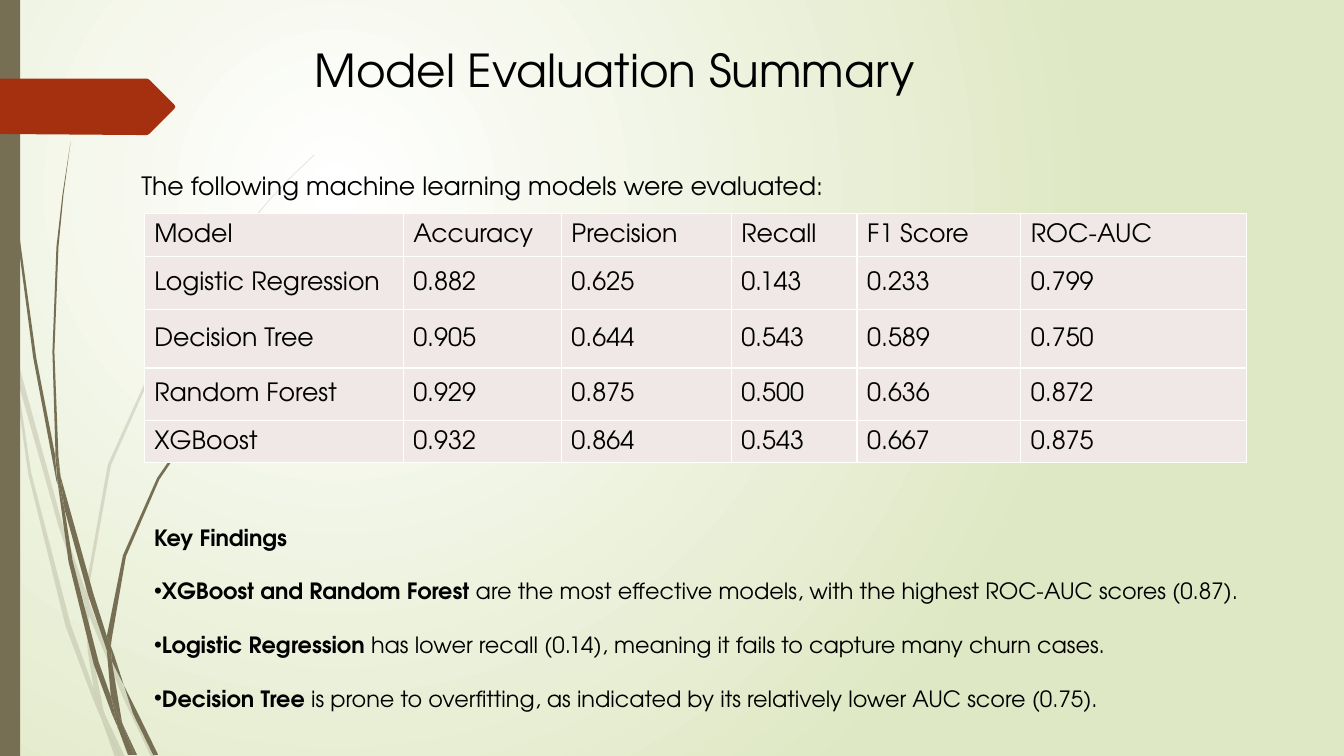
from lxml.etree import SubElement
from pptx import Presentation
from pptx.dml.color import RGBColor
from pptx.enum.shapes import MSO_SHAPE
from pptx.enum.text import MSO_ANCHOR
from pptx.oxml.ns import qn
from pptx.util import Pt

WHITE = RGBColor(0xFF, 0xFF, 0xFF)
BLACK = RGBColor(0, 0, 0)
GREEN = RGBColor(0xDF, 0xE8, 0xC4)
OLIVE = RGBColor(0x76, 0x6F, 0x54)
RUST = RGBColor(0xA5, 0x30, 0x10)
BLUSH = RGBColor(0xF0, 0xE8, 0xE7)
FACE = "TeX Gyre Adventor"
UNIT = 0.72

PALE = [
    "11,350 9,322 0,282 0,299 10,344",
    "17,376 58,522 84,599 85,586 62,520 14,345",
    "88,596 92,607 127,692 155,751 150,751 123,694 88,610",
    "105,711 124,751 119,751",
    "11,350 28,470 65,621 92,693 101,714 99,707 93,683 70,619 31,469 17,376",
    "84,599 87,646 93,683 96,692 105,711 103,706 91,646 88,610 88,608",
    "85,586 85,584 107,461 158,348 228,244 268,197 289,175 312,153 "
    "312,154 290,175 268,198 229,245 160,349 110,462 88,584 88,596",
    "101,714 114,751 119,751",
    "88,608 88,610 88,596 85,586 84,599",
    "93,683 99,707 101,714 119,751 105,711 96,692",
]
DARK = [
    "3,0 4,48 7,110 17,233 33,355 56,477 57,481 55,457 55,453 36,355 19,232 8,109 5,48 4,0",
    "64,505 88,592 106,645 106,633 106,631 93,590 60,472",
    "110,641 113,649 132,708 152,749 157,749 136,706 111,656",
    "57,477 68,557 93,659 111,708 117,722 116,717 110,691 98,657 72,556 64,505",
    "70,141 62,193 56,245 52,349 55,449 60,472 58,453 54,349 58,245 63,193",
    "122,719 136,749 133,749",
    "55,449 60,472 64,505 57,477 55,453",
    "106,631 122,551 156,474 204,405 231,373 245,358 260,344 "
    "261,344 245,359 231,374 205,406 158,476 125,552 111,633 110,641",
    "117,722 131,749 127,749",
    "106,645 110,691 116,706 122,719 121,716 111,656 109,651",
    "106,645 106,631 110,641 111,656 109,651",
    "110,691 116,717 117,722 130,749 133,749 122,719 116,706",
]
FLAG = "0,0 136,0 146,0 148,1 173,26 174,28 173,30 148,55 146,56 136,56 0,55"
SCORES = [
    ["Model", "Accuracy", "Precision", "Recall", "F1 Score", "ROC-AUC"],
    ["Logistic Regression", "0.882", "0.625", "0.143", "0.233", "0.799"],
    ["Decision Tree", "0.905", "0.644", "0.543", "0.589", "0.750"],
    ["Random Forest", "0.929", "0.875", "0.500", "0.636", "0.872"],
    ["XGBoost", "0.932", "0.864", "0.543", "0.667", "0.875"],
]
WIDTHS = [185, 113, 121.3, 89.9, 117, 161.28]
HEIGHTS = [27.36, 38.16, 41.76, 37.44, 27.36]
POINTS = [
    ("XGBoost and Random Forest",
     " are the most effective models, with the highest ROC-AUC scores (0.87)."),
    ("Logistic Regression",
     " has lower recall (0.14), meaning it fails to capture many churn cases."),
    ("Decision Tree",
     " is prone to overfitting, as indicated by its relatively lower AUC score (0.75)."),
]


def paint(shape, color):
    """Give a shape a plain fill with no line or shadow."""
    shape.fill.solid()
    shape.fill.fore_color.rgb = color
    shape.line.fill.background()
    shape.shadow.inherit = False


def outline(slide, x, y, knots, color):
    """Draw a closed filled outline from knots in the given box."""
    dots = [tuple(Pt(UNIT * int(n)) for n in knot.split(",")) for knot in knots.split()]
    pen = slide.shapes.build_freeform(*dots[0], scale=1.0)
    pen.add_line_segments(dots[1:], close=True)
    shape = pen.convert_to_shape(Pt(x), Pt(y))
    paint(shape, color)
    return shape


def grass(slide, x, y, blades, alpha=100):
    """Draw blades of grass with the given opacity."""
    for blade in blades:
        shape = outline(slide, x, y, blade, OLIVE)
        if alpha < 100:
            tint = next(shape.element.spPr.iter(qn("a:srgbClr")))
            SubElement(tint, qn("a:alpha"), val=str(alpha * 1000))


def backdrop(slide, x, y, height):
    """Lay out the glow, the grass, the side bar and the flag."""
    fill = slide.background.fill
    fill.gradient()
    for stop, color in zip(fill.gradient_stops, (WHITE, GREEN)):
        stop.color.rgb = color
    grad = next(slide.element.iter(qn("a:gradFill")))
    grad.remove(grad.find(qn("a:lin")))
    glow = SubElement(grad, qn("a:path"), path="circle")
    SubElement(glow, qn("a:fillToRect"), l="50000", t="50000", r="100000", b="100000")
    grass(slide, x, y, PALE, 20)
    grass(slide, x, y, DARK)
    bar = slide.shapes.add_shape(MSO_SHAPE.RECTANGLE, Pt(x), Pt(y), Pt(14.4), Pt(height))
    paint(bar, OLIVE)
    outline(slide, x, y + 56.16, FLAG, RUST)


def style(para, size, lines):
    """Set the font and line spacing of a paragraph."""
    para.font.name = FACE
    para.font.size = Pt(size)
    para.font.color.rgb = BLACK
    para.line_spacing = lines


def textbox(slide, x, y, width, height):
    """Add a wrapping text box and return its frame."""
    frame = slide.shapes.add_textbox(Pt(x), Pt(y), Pt(width), Pt(height)).text_frame
    frame.word_wrap = True
    return frame


def label(slide, x, y, width, height, text, size, lines):
    """Write one line of text in a box."""
    para = textbox(slide, x, y, width, height).paragraphs[0]
    para.text = text
    style(para, size, lines)


def border(cell):
    """Draw thin white lines around a table cell."""
    props = cell._tc.get_or_add_tcPr()
    for side in ("L", "R", "T", "B"):
        line = SubElement(props, qn("a:ln" + side), w=str(Pt(1)))
        tint = SubElement(line, qn("a:solidFill"))
        SubElement(tint, qn("a:srgbClr"), val=str(WHITE))


def scores(slide, x, y, width, height):
    """Build the table of model scores."""
    table = slide.shapes.add_table(
        len(SCORES), len(WIDTHS), Pt(x), Pt(y), Pt(width), Pt(height)).table
    for col, size in zip(table.columns, WIDTHS):
        col.width = Pt(size)
    for row, size, texts in zip(table.rows, HEIGHTS, SCORES):
        row.height = Pt(size)
        for cell, text in zip(row.cells, texts):
            border(cell)
            cell.fill.solid()
            cell.fill.fore_color.rgb = BLUSH
            cell.vertical_anchor = MSO_ANCHOR.MIDDLE
            para = cell.text_frame.paragraphs[0]
            para.text = text
            style(para, 18, 1.07)
            para.space_after = Pt(8)


def findings(slide, x, y, width, height):
    """List the key findings under a bold heading."""
    frame = textbox(slide, x, y, width, height)
    head = frame.paragraphs[0]
    head.text = "Key Findings"
    style(head, 16, 2)
    head.font.bold = True
    for name, note in POINTS:
        para = frame.add_paragraph()
        style(para, 16, 2)
        props = para._p.get_or_add_pPr()
        last = props.find(qn("a:defRPr"))
        for tag, key, value in (("a:buFont", "typeface", "Arial"), ("a:buChar", "char", "•")):
            last.addprevious(props.makeelement(qn(tag), {key: value}))
        for text, bold in ((name, True), (note, False)):
            run = para.add_run()
            run.text = text
            run.font.bold = bold


def main():
    """Build the model evaluation slide."""
    deck = Presentation()
    deck.slide_width, deck.slide_height = Pt(960), Pt(540)
    slide = deck.slides.add_slide(deck.slide_layouts[6])
    backdrop(slide, 0, 0, 540)
    label(slide, 217.44, 26.64, 483.12, 83.52, "Model Evaluation Summary", 32.4, 1)
    label(slide, 93.9, 85.6, 589.68, 83.52,
          "The following machine learning models were evaluated:", 18, 2.5)
    scores(slide, 103, 152.64, 787.48, 172.08)
    findings(slide, 103, 351.36, 812.16, 184.32)
    deck.save("out.pptx")


if __name__ == "__main__":
    main()
